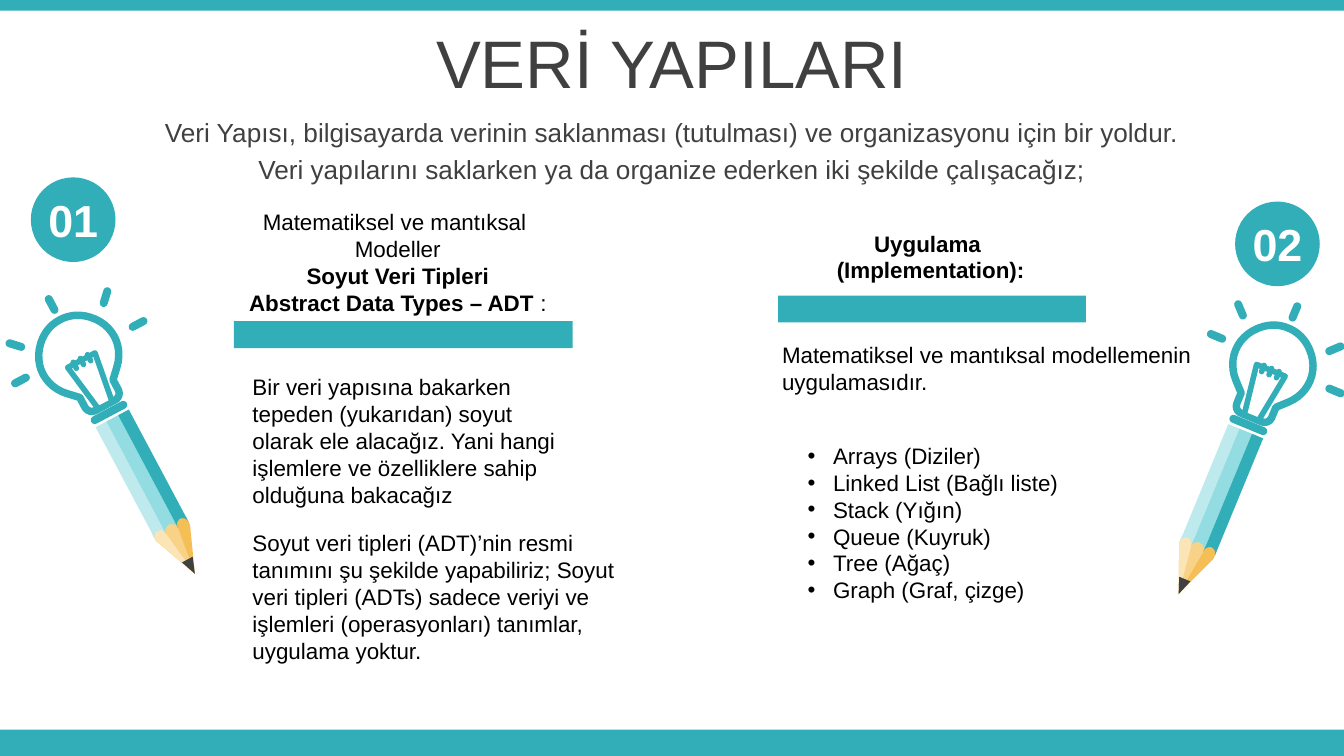
"""Build the data structures slide with two pencil-bulb illustrations."""
import math

import lxml.etree
import pptx
import pptx.dml.color
import pptx.enum.shapes
import pptx.enum.text
import pptx.oxml.ns
import pptx.util

Inches = pptx.util.Inches
Pt = pptx.util.Pt
RGBColor = pptx.dml.color.RGBColor
SHAPE = pptx.enum.shapes.MSO_SHAPE
ANCHOR = pptx.enum.text.MSO_ANCHOR
ALIGN = pptx.enum.text.PP_ALIGN

TEAL = RGBColor(0x32, 0xAE, 0xB8)
AQUA = RGBColor(0x92, 0xDC, 0xE2)
MIST = RGBColor(0xBE, 0xEA, 0xED)
AMBER = RGBColor(0xF6, 0xBF, 0x56)
SAND = RGBColor(0xF8, 0xD2, 0x86)
CREAM = RGBColor(0xFB, 0xE4, 0xB6)
GRAY = RGBColor(0x40, 0x40, 0x40)
BLACK = RGBColor(0, 0, 0)
WHITE = RGBColor(0xFF, 0xFF, 0xFF)


def write(frame, lines, size=12, color=BLACK, align=ALIGN.LEFT, anchor=ANCHOR.TOP,
          before=0, wrap=True, bullet=None):
    """Fill a text frame; parts between ** marks are bold."""
    frame.word_wrap = wrap
    frame.auto_size = pptx.enum.text.MSO_AUTO_SIZE.NONE
    frame.vertical_anchor = anchor
    for number, line in enumerate(lines):
        paragraph = frame.paragraphs[0] if number == 0 else frame.add_paragraph()
        paragraph.alignment = align
        paragraph.space_before = Pt(before)
        properties = paragraph._p.get_or_add_pPr()
        indent = Inches(0.19) if bullet else 0
        properties.set("marL", str(indent))
        properties.set("indent", str(-indent))
        if bullet:
            face = lxml.etree.SubElement(properties, pptx.oxml.ns.qn("a:buFont"))
            face.set("typeface", "Arial")
            mark = lxml.etree.SubElement(properties, pptx.oxml.ns.qn("a:buChar"))
            mark.set("char", bullet)
        else:
            lxml.etree.SubElement(properties, pptx.oxml.ns.qn("a:buNone"))
        for part, text in enumerate(line.split("**")):
            if text:
                run = paragraph.add_run()
                run.text = text
                run.font.name = "Arial"
                run.font.size = Pt(size)
                run.font.bold = part % 2 == 1
                run.font.color.rgb = color


def curve(*controls):
    """Return points along a cubic curve."""
    points = []
    for step in range(13):
        t = step / 12
        weights = ((1 - t) ** 3, 3 * t * (1 - t) ** 2, 3 * t * t * (1 - t), t ** 3)
        points.append(tuple(sum(w * c[axis] for w, c in zip(weights, controls))
                            for axis in (0, 1)))
    return points


deck = pptx.Presentation()
deck.slide_width = Inches(10)
deck.slide_height = deck.slide_width * 9 // 16
slide = deck.slides.add_slide(deck.slide_layouts[1])
shapes = slide.shapes

for left, top, width, height in [(0, 5.43, 10, 0.2), (0, 0, 10, 0.08),
                                 (1.74, 2.39, 2.52, 0.2), (5.79, 2.2, 2.29, 0.2)]:
    bar = shapes.add_shape(SHAPE.RECTANGLE, *map(Inches, (left, top, width, height)))
    bar.shadow.inherit = False
    bar.fill.solid()
    bar.fill.fore_color.rgb = TEAL
    bar.line.fill.background()

title, intro = slide.placeholders
for heading, top, height, size, lines in [
    (title, 0.14, 0.63, 36, ["VERİ YAPILARI"]),
    (intro, 0.85, 0.54, 14, [
        "Veri Yapısı, bilgisayarda verinin saklanması (tutulması) ve organizasyonu için bir yoldur.",
        "Veri yapılarını saklarken ya da organize ederken iki şekilde çalışacağız;"]),
]:
    heading.left, heading.top = 0, Inches(top)
    heading.width, heading.height = Inches(10), Inches(height)
    write(heading.text_frame, lines, size=size, color=GRAY, align=ALIGN.CENTER,
          anchor=ANCHOR.MIDDLE, before=size * 0.2)

for left, top, width, height, lines, look in [
    (1.78, 2.73, 2.52, 1.11, [
        "Bir veri yapısına bakarken ", "tepeden (yukarıdan) soyut ",
        "olarak ele alacağız. Yani hangi işlemlere ve özelliklere sahip ",
        "olduğuna bakacağız"], {}),
    (5.72, 2.49, 3.29, 0.5,
     ["Matematiksel ve mantıksal modellemenin uygulamasıdır."], {}),
    (1.78, 3.89, 2.91, 1.11, [
        "Soyut veri tipleri (ADT)’nin resmi ",
        "tanımını şu şekilde yapabiliriz; Soyut veri tipleri (ADTs) sadece veriyi ve ",
        "işlemleri (operasyonları) tanımlar,", "uygulama yoktur."], {}),
    (5.91, 3.24, 2.91, 1.31, [
        "Arrays (Diziler)", "Linked List (Bağlı liste) ", "Stack (Yığın) ",
        "Queue (Kuyruk) ", "Tree (Ağaç) ", "Graph (Graf, çizge)"], {"bullet": "•"}),
    (1.62, 1.5, 2.68, 0.91, [
        "Matematiksel ve mantıksal ", "Modeller", " **Soyut Veri Tipleri **",
        "**Abstract Data Types – ADT **:"], {"align": ALIGN.CENTER}),
    (6.12, 1.66, 1.61, 0.5, ["**Uygulama **", "**(Implementation):**"],
     {"align": ALIGN.CENTER, "wrap": False}),
]:
    passage = shapes.add_textbox(*map(Inches, (left, top, width, height)))
    write(passage.text_frame, lines, **look)

half_bulb = [
    *curve((0, -2.14), (0.08, -2.14), (0.15, -2.11), (0.21, -2.05)),
    *curve((0.21, -2.05), (0.33, -1.93), (0.33, -1.75), (0.21, -1.63)),
    (0.14, -1.56),
    *curve((0.14, -1.48), (0.14, -1.45), (0.12, -1.42), (0.08, -1.42)),
]
outlines = [
    (AMBER, [(-0.14, -0.41), (0.14, -0.41), (0.14, -0.34), (0, 0), (-0.14, -0.35)]),
    (SAND, [(-0.05, -0.41), (0.05, -0.41), (0.05, -0.36), (0, 0), (-0.05, -0.35)]),
    (CREAM, [(-0.14, -0.41), (-0.05, -0.41), (-0.05, -0.37), (0, 0), (-0.14, -0.35)]),
]
for color, left, right in [(MIST, -0.14, -0.05), (AQUA, -0.05, 0.05), (TEAL, 0.05, 0.14)]:
    arch = curve((right, -0.36), (right, -0.43), (left, -0.43), (left, -0.36))
    outlines.append((color, [(left, -1.31), (right, -1.31), *arch]))
outlines.append((WHITE, half_bulb + [(-x, y) for x, y in reversed(half_bulb)]))

fittings = [
    (SHAPE.ISOSCELES_TRIANGLE, GRAY, 0, -0.06, 0.09, 0.12, 180),
    (SHAPE.TRAPEZOID, WHITE, 0, -1.61, 0.23, 0.38, 180),
    (SHAPE.ROUNDED_RECTANGLE, TEAL, 0, -1.36, 0.3, 0.06, 0),
]
for x, y, turn in [(-0.47, -1.88, -90), (-0.38, -2.13, -45), (0, -2.27, 0),
                   (0.38, -2.13, 45), (0.5, -1.84, 90)]:
    fittings.append((SHAPE.ROUNDED_RECTANGLE, TEAL, x, y, 0.06, 0.15, turn))
for x in (-0.06, 0, 0.06):
    fittings.append((SHAPE.ROUNDED_RECTANGLE, TEAL, x, -1.79, 0.04, 0.09, 0))

for tip_x, tip_y, tilt in [(1.45, 4.27, -28), (8.77, 4.42, 22.4)]:
    cos, sin = math.cos(math.radians(tilt)), math.sin(math.radians(tilt))
    pieces = []
    for color, points in outlines:
        placed = [(Inches(tip_x + x * cos - y * sin), Inches(tip_y + x * sin + y * cos))
                  for x, y in points]
        outline = shapes.build_freeform(*placed[0])
        outline.add_line_segments(placed[1:], close=True)
        pieces.append((outline.convert_to_shape(), color, 4))
    for kind, color, x, y, width, height, turn in fittings:
        left = tip_x + x * cos - y * sin - width / 2
        top = tip_y + x * sin + y * cos - height / 2
        fitting = shapes.add_shape(kind, *map(Inches, (left, top, width, height)))
        fitting.rotation = (tilt + turn) % 360
        if kind == SHAPE.ROUNDED_RECTANGLE:
            fitting.adjustments[0] = 0.5
        pieces.append((fitting, color, 3))
    for piece, color, weight in pieces:
        piece.shadow.inherit = False
        piece.fill.solid()
        piece.fill.fore_color.rgb = color
        if color == WHITE:
            piece.line.color.rgb = TEAL
            piece.line.width = Pt(weight)
        else:
            piece.line.fill.background()

for left, top, number in [(0.23, 1.32, "01"), (9.19, 1.5, "02")]:
    badge = shapes.add_shape(SHAPE.OVAL, *map(Inches, (left, top, 0.63, 0.63)))
    badge.shadow.inherit = False
    badge.fill.solid()
    badge.fill.fore_color.rgb = TEAL
    badge.line.fill.background()
    badge.text_frame.margin_left = badge.text_frame.margin_right = 0
    write(badge.text_frame, [f"**{number}**"], size=24, color=WHITE,
          align=ALIGN.CENTER, anchor=ANCHOR.MIDDLE, wrap=False)

deck.save("out.pptx")
